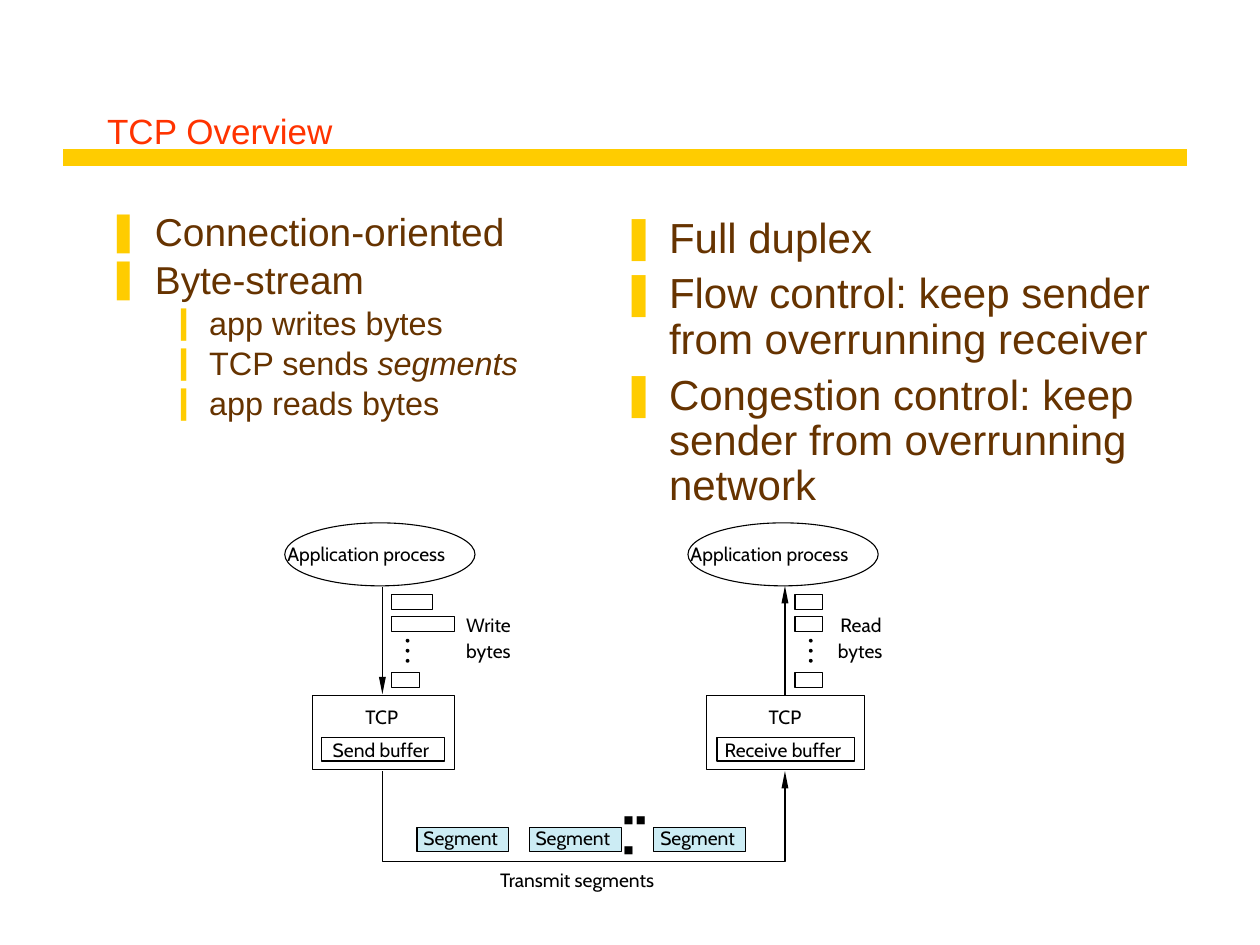
import pptx
import pptx.util
import pptx.dml.color
import pptx.enum.shapes
import pptx.enum.text
import pptx.oxml.ns
from lxml import etree

COLORS = {"title": "FF3300", "body": "663300", "accent": "FFCC00",
          "ink": "000000", "paper": "FFFFFF", "segment": "CCECF4"}
Pt = pptx.util.Pt
SHAPE = pptx.enum.shapes.MSO_SHAPE
ANCHOR = pptx.enum.text.MSO_ANCHOR
FIT = pptx.enum.text.MSO_AUTO_SIZE
LEFT = pptx.enum.text.PP_ALIGN.LEFT


def rgb(name):
    return pptx.dml.color.RGBColor.from_string(COLORS[name])


def add_xml(parent, tag, **attrs):
    return etree.SubElement(parent, pptx.oxml.ns.qn(tag), attrs)


class Diagram:
    """Holds the style and the slide; lengths are cells of a 100 x 75 grid."""
    COLS, ROWS = 100, 75
    HEAD_FONT, LABEL_FONT = "Arial", "Cabin"
    LABEL_SIZE, LINE = 11, 0.62
    BULLETS = (("❚", 0.38, 0.38), ("❙", 0.81, 0.31))  # mark, margin, hanging

    def __init__(self, prs, layout):
        self.s = prs.slides.add_slide(prs.slide_layouts[layout])
        self.cell_w = prs.slide_width / self.COLS
        self.cell_h = prs.slide_height / self.ROWS

    def x(self, cols):
        return round(cols * self.cell_w)

    def y(self, rows):
        return round(rows * self.cell_h)

    def box(self, x, y, w, h):
        return self.x(x), self.y(y), self.x(w), self.y(h)

    def font(self, p, name, size, color):
        p.font.name, p.font.size = name, Pt(size)
        p.font.color.rgb = rgb(color)

    def placeholder(self, idx, area):
        sp = self.s.placeholders[idx]
        sp.left, sp.top, sp.width, sp.height = self.box(*area)
        sp.text_frame.auto_size = FIT.NONE
        return sp.text_frame

    def title(self, text, area):
        tf = self.placeholder(0, area)
        tf.text, tf.vertical_anchor = text, ANCHOR.BOTTOM
        p = tf.paragraphs[0]
        p.alignment = LEFT
        self.font(p, self.HEAD_FONT, 20, "title")

    def bullets(self, idx, area, items, sizes, spacing):
        tf = self.placeholder(idx, area)
        for i, (level, text, italic) in enumerate(items):
            p = tf.paragraphs[0] if i == 0 else tf.add_paragraph()
            mark, margin, hanging = self.BULLETS[level]
            pPr = p._p.get_or_add_pPr()
            pPr.set("marL", str(pptx.util.Inches(margin)))
            pPr.set("indent", str(-pptx.util.Inches(hanging)))
            add_xml(add_xml(pPr, "a:buClr"), "a:srgbClr", val=COLORS["accent"])
            add_xml(pPr, "a:buChar", char=mark)
            p.level, p.line_spacing = level, spacing
            p.space_before = Pt(6 - level)
            self.font(p, self.HEAD_FONT, sizes[level], "body")
            p.add_run().text = text
            if italic:
                r = p.add_run()
                r.text, r.font.italic = italic, True

    def label(self, text, x, y, w, h=1.8):
        tf = self.s.shapes.add_textbox(*self.box(x, y, w, h)).text_frame
        tf.margin_left = tf.margin_right = tf.margin_top = tf.margin_bottom = 0
        tf.word_wrap, tf.auto_size = False, FIT.SHAPE_TO_FIT_TEXT
        tf.text = text
        self.font(tf.paragraphs[0], self.LABEL_FONT, self.LABEL_SIZE, "ink")
        return tf

    def shape(self, kind, x, y, w, h, fill=None, line="ink"):
        sp = self.s.shapes.add_shape(kind, *self.box(x, y, w, h))
        sp.shadow.inherit = False
        if fill:
            sp.fill.solid()
            sp.fill.fore_color.rgb = rgb(fill)
        else:
            sp.fill.background()
        if line:
            self.stroke(sp, line, self.LINE)
        else:
            sp.line.fill.background()

    def stroke(self, sp, color, width, arrow=False):
        sp.line.color.rgb, sp.line.width = rgb(color), Pt(width)
        if arrow:
            add_xml(sp.line._get_or_add_ln(), "a:tailEnd",
                    type="triangle", w="sm", len="lg")

    def line(self, x1, y1, x2, y2, color="ink", width=LINE, arrow=False):
        sp = self.s.shapes.add_connector(
            pptx.enum.shapes.MSO_CONNECTOR.STRAIGHT,
            self.x(x1), self.y(y1), self.x(x2), self.y(y2))
        self.stroke(sp, color, width, arrow)
        add_xml(sp._element.spPr, "a:effectLst")

    def route(self, *points):
        start, *rest = [(self.x(x), self.y(y)) for x, y in points]
        fb = self.s.shapes.build_freeform(*start)
        fb.add_line_segments(rest, close=False)
        sp = fb.convert_to_shape()
        sp.shadow.inherit = False
        sp.fill.background()
        self.stroke(sp, "ink", self.LINE, arrow=True)


def main():
    prs = pptx.Presentation()
    prs.slide_width, prs.slide_height = pptx.util.Inches(10), pptx.util.Inches(7.5)
    d = Diagram(prs, layout=3)

    # Heading and lists
    d.line(5, 12.5, 94.2, 12.5, "accent", 10)
    d.title("TCP Overview", (7.5, 5, 85, 7.5))
    d.bullets(1, (7.5, 16.7, 35, 22.5), [
        (0, "Connection-oriented", ""),
        (0, "Byte-stream", ""),
        (1, "app writes bytes", ""),
        (1, "TCP sends ", "segments"),
        (1, "app reads bytes", "")], (22.2, 18.5), 0.8)
    d.bullets(2, (48.3, 16.7, 47.5, 18.3), [
        (0, "Full duplex", ""),
        (0, "Flow control: keep sender from overrunning receiver", ""),
        (0, "Congestion control: keep sender from overrunning network", "")],
        (24,), 0.9)

    # Sender and receiver: offset, verb and its column, TCP box, buffer, packets
    sides = [
        (0, "Write", 37, (24.8, 11.3), "Send buffer", 26.4, (25.5, 9.8),
         (3.2, 5, 2.2)),
        (32, "Read", 66.7, (56.1, 12.5), "Receive buffer", 57.5, (56.9, 10.9),
         (2.2, 2.2, 2.2)),
    ]
    for dx, verb, verb_x, tcp, buffer, buffer_x, slot, packets in sides:
        d.shape(SHAPE.OVAL, 22.6 + dx, 41.5, 15.1, 5, "paper")
        d.label("Application process", 22.8 + dx, 43, 14.1)
        d.shape(SHAPE.RECTANGLE, tcp[0], 55.2, tcp[1], 5.9, "paper")
        d.label("TCP", 29 + dx, 56, 2.8)
        d.shape(SHAPE.RECTANGLE, slot[0], 58.5, slot[1], 1.9)
        d.label(buffer, buffer_x, 58.6, slot[1] - 1)
        for width, top in zip(packets, (47.2, 48.9, 53.4)):
            d.shape(SHAPE.RECTANGLE, 31.1 + dx, top, width, 1.2)
        for i in range(3):
            d.shape(SHAPE.OVAL, 32.2 + dx, 50.7 + 0.8 * i, 0.3, 0.3, "ink", None)
        d.label(verb, verb_x, 48.7, 3.9)
        d.label("bytes", 37 if dx == 0 else 66.5, 50.7, 3.9)

    # Data flow
    d.line(30.35, 46.6, 30.35, 55.1, arrow=True)
    d.line(62.3, 55.2, 62.3, 46.5, arrow=True)
    d.route((30.35, 61.2), (30.35, 68.4), (62.3, 68.4), (62.3, 61.2))

    # Segments on the wire
    for x in (33.1, 42, 51.9):
        d.shape(SHAPE.RECTANGLE, x, 65.7, 7.3, 1.9, "segment")
        d.label("Segment", x + 0.5, 65.6, 6.5)
    d.label("Transmit segments", 39.7, 68.9, 13.9)
    tf = d.label("■ ■ ■", 49.5, 64.5, 2.7, 3.7)
    tf.word_wrap = True
    tf.paragraphs[0].runs[0].font.size = Pt(6)
    r = tf.paragraphs[0].add_run()
    r.text, r.font.size = " ", Pt(16)

    prs.save("out.pptx")


if __name__ == "__main__":
    main()
